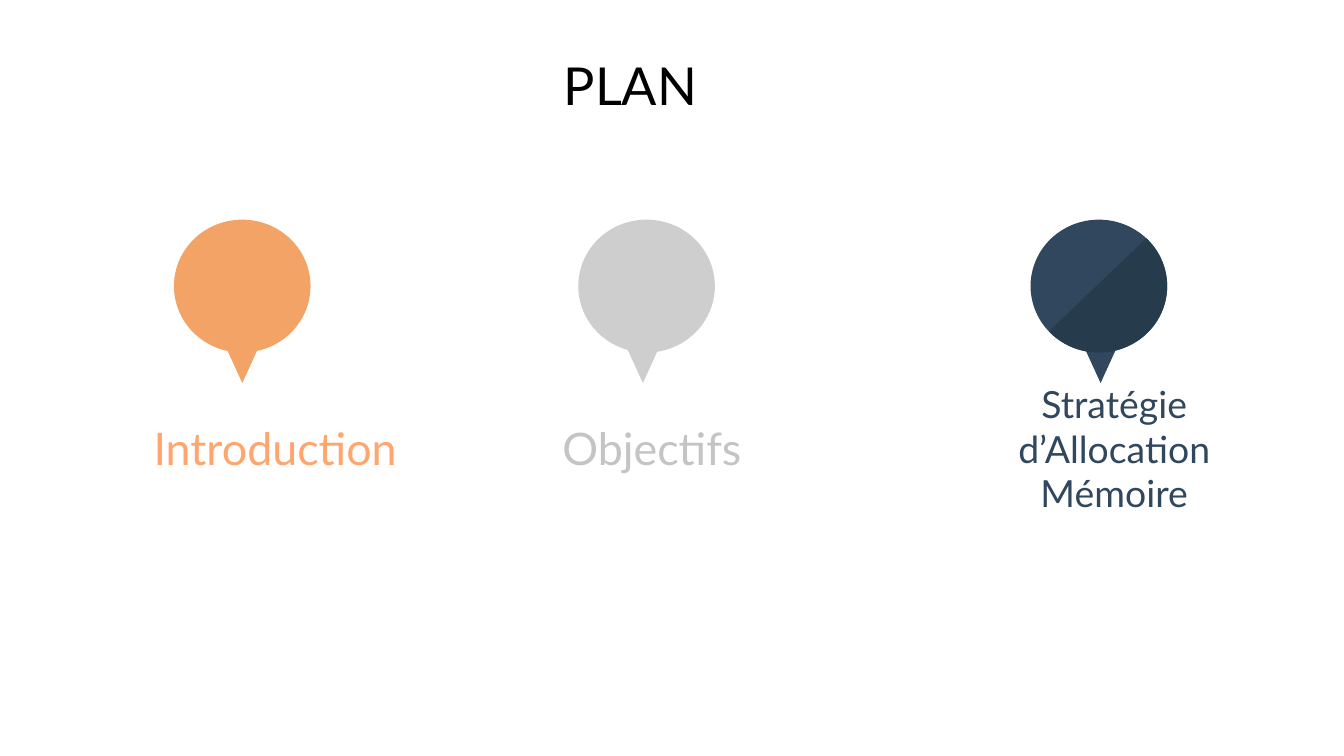
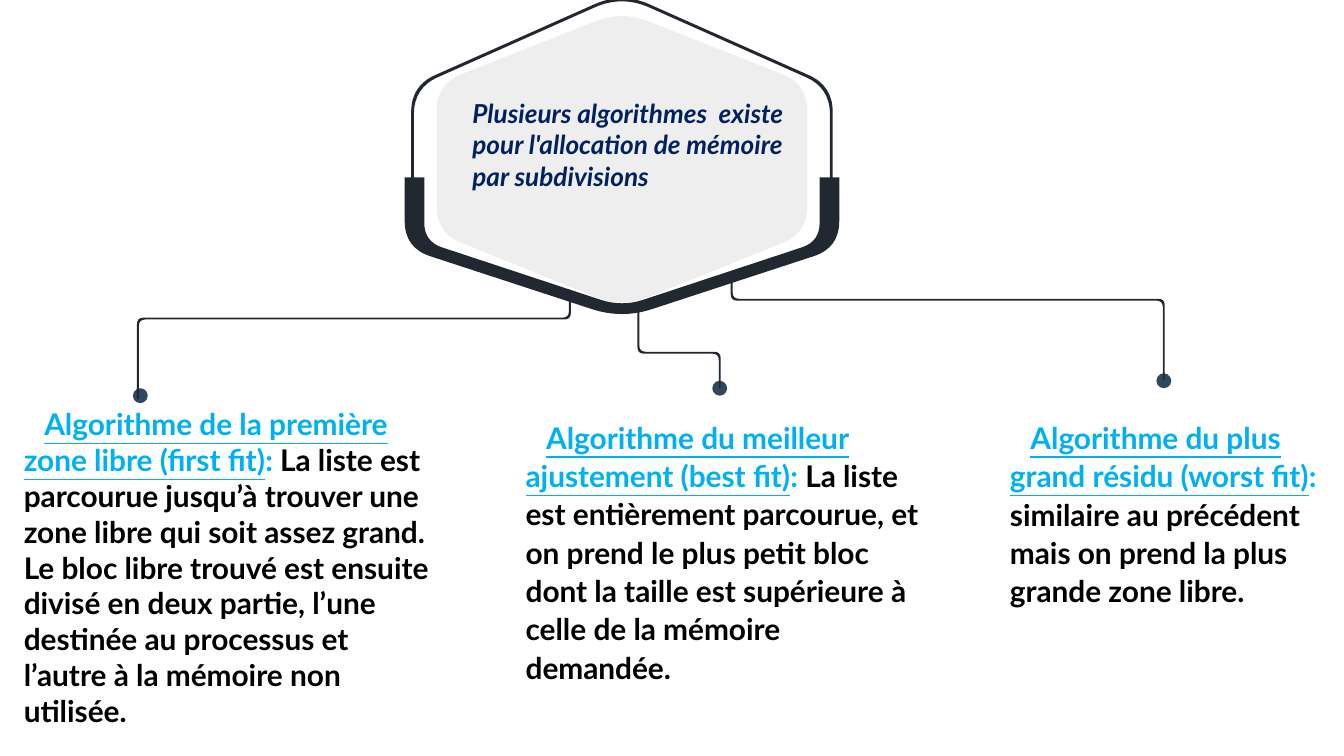
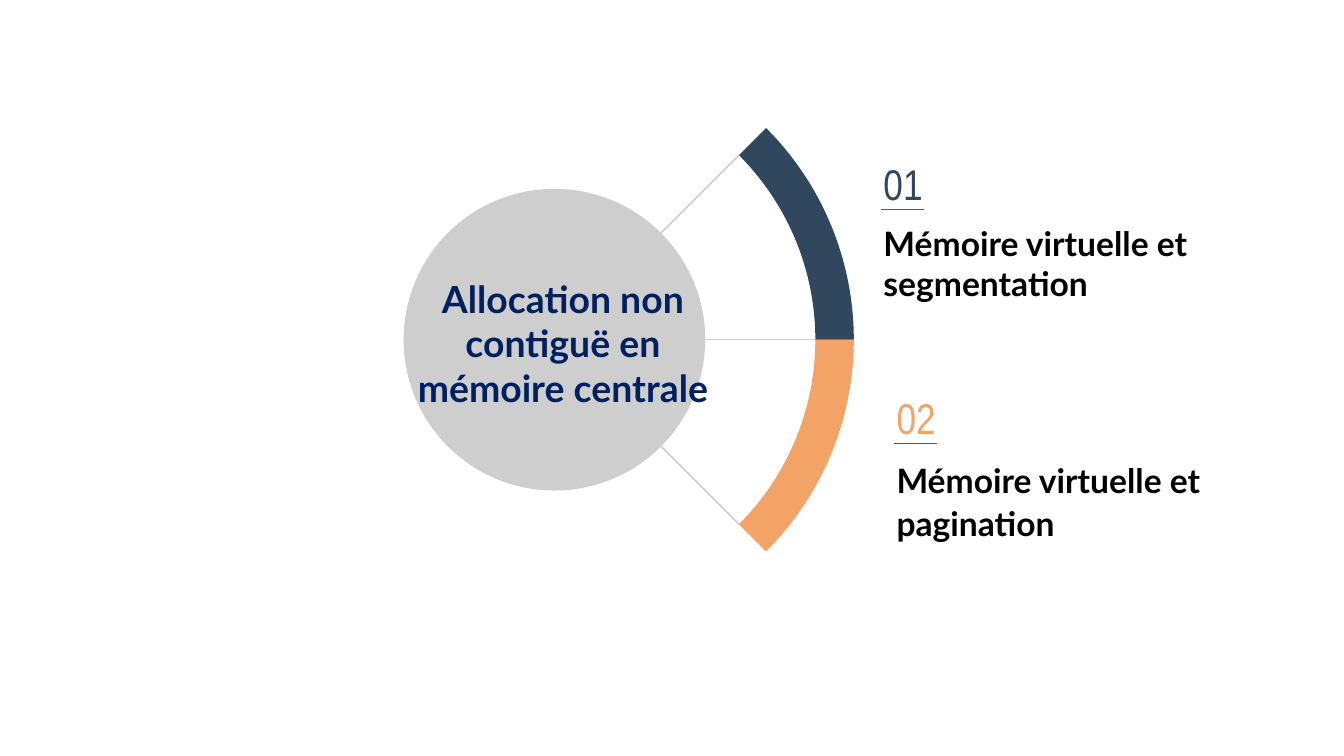
import math

from pptx import Presentation
from pptx import util as u
from pptx.dml import color
from pptx.enum import shapes, text
from pptx.oxml import ns, xmlchemy as xml

NAVY = "30475E"
DEEP_NAVY = "263C4C"
ORANGE = "F2A365"
GREY = "CECECE"
CHARCOAL = "222831"
INK = "002060"
CYAN = "00B0F0"
BLACK = "000000"

HEXAGON_AXIS = 333.2
HUB = (297, 182)


def rgb(value):
    return color.RGBColor.from_string(value)


def paint(item, fill):
    item.shadow.inherit = False
    item.fill.solid()
    item.fill.fore_color.rgb = rgb(fill)
    item.line.fill.background()


def add_preset(page, kind, left, top, width, height, fill):
    item = page.shapes.add_shape(kind, u.Pt(left), u.Pt(top), u.Pt(width), u.Pt(height))
    paint(item, fill)
    return item


def add_disc(page, centre, radius, fill):
    x, y = centre
    add_preset(page, shapes.MSO_SHAPE.OVAL, x - radius, y - radius, 2 * radius, 2 * radius, fill)


def add_outline(page, segments, fill):
    vertices = [(u.Pt(x), u.Pt(y)) for segment in segments for x, y in segment]
    builder = page.shapes.build_freeform(*vertices[0])
    builder.add_line_segments(vertices[1:], close=True)
    outline = builder.convert_to_shape()
    paint(outline, fill)
    lines = iter(list(outline._element.iter(ns.qn("a:lnTo"))))
    for segment in segments[1:]:
        steps = [next(lines) for _ in segment]
        if len(steps) == 3:
            curve = xml.OxmlElement("a:cubicBezTo")
            steps[0].addprevious(curve)
            for step in steps:
                curve.append(step[0])
                step.getparent().remove(step)


def add_line(page, start, end, colour, weight):
    x1, y1, x2, y2 = (u.Pt(value) for value in (*start, *end))
    line = page.shapes.add_connector(shapes.MSO_CONNECTOR.STRAIGHT, x1, y1, x2, y2)
    line.line.color.rgb = rgb(colour)
    line.line.width = u.Pt(weight)
    properties = line._element.spPr
    properties.append(xml.OxmlElement("a:effectLst"))


def add_text(page, content, left, top, width, height, *, size, colour=BLACK, font="Lato",
             bold=False, italic=False, align=None, anchor=text.MSO_ANCHOR.TOP, inset=7.2,
             spacing=None, after=None, indent=0):
    box = page.shapes.add_textbox(u.Pt(left), u.Pt(top), u.Pt(width), u.Pt(height))
    frame = box.text_frame
    frame.word_wrap = True
    frame.vertical_anchor = anchor
    frame.margin_left = frame.margin_right = u.Pt(7.2)
    frame.margin_top = frame.margin_bottom = u.Pt(inset)
    para = frame.paragraphs[0]
    para.alignment = align
    if spacing:
        para.line_spacing = spacing
    if after:
        para.space_after = u.Pt(after)
    if indent:
        para._p.get_or_add_pPr().set("indent", str(u.Pt(indent)))
    spans = [(content, colour, False)] if isinstance(content, str) else content
    for words, span_colour, underline in spans:
        span = para.add_run()
        span.text = words
        span.font.name = font
        span.font.size = u.Pt(size)
        span.font.bold = bold
        span.font.italic = italic
        span.font.underline = underline
        span.font.color.rgb = rgb(span_colour)


def on_ellipse(centre, radii, degrees):
    angle = math.radians(degrees)
    return (centre[0] + radii[0] * math.cos(angle), centre[1] + radii[1] * math.sin(angle))


def arc(centre, radii, first, last):
    reach = 4 / 3 * math.tan(math.radians(last - first) / 4)

    def control(degrees, amount):
        x, y = on_ellipse(centre, radii, degrees)
        angle = math.radians(degrees)
        return (x - amount * radii[0] * math.sin(angle), y + amount * radii[1] * math.cos(angle))

    return [(on_ellipse(centre, radii, first),),
            (control(first, reach), control(last, -reach), on_ellipse(centre, radii, last))]


def toward(start, end, distance):
    share = distance / math.dist(start, end)
    return tuple(a + (b - a) * share for a, b in zip(start, end))


def rounded(corners):
    segments = []
    for i, (x, y, cut) in enumerate(corners):
        corner = (x, y)
        if not cut:
            segments.append((corner,))
            continue
        before = toward(corner, corners[i - 1][:2], cut)
        after = toward(corner, corners[(i + 1) % len(corners)][:2], cut)
        segments.append((before,))
        segments.append((toward(corner, before, cut / 3), toward(corner, after, cut / 3), after))
    return segments


def mirrored(side, apex_y, apex_cut):
    other = [(2 * HEXAGON_AXIS - x, y, cut) for x, y, cut in reversed(side)]
    return side + [(HEXAGON_AXIS, apex_y, apex_cut)] + other


def add_pin(page, centre_x, tip_x, fill):
    tip = add_preset(page, shapes.MSO_SHAPE.ISOSCELES_TRIANGLE, tip_x - 10.5, 182.2, 21, 23, fill)
    tip.rotation = 180
    add_preset(page, shapes.MSO_SHAPE.OVAL, centre_x - 36.6, 117.7, 73.2, 71.2, fill)


def add_hexagon(page):
    outer = mirrored([(220.3, 96.5, 0), (220.3, 46, 14)], -4.2, 16)
    inner = mirrored([(221.8, 96.5, 0), (221.8, 47.1, 14)], -2.5, 16)
    add_outline(page, rounded(outer + inner[::-1]), CHARCOAL)
    outer = mirrored([(216.8, 95, 0), (216.8, 132.8, 14.4)], 170.9, 17)
    inner = mirrored([(227.3, 95, 0), (227.3, 129.4, 10)], 164.4, 12)
    add_outline(page, rounded(outer + inner[::-1]), CHARCOAL)
    top = mirrored([(234, 45, 14)], 5.8, 15.5)
    bottom = mirrored([(234, 124.8, 14)], 164.9, 15.5)
    add_outline(page, rounded(top + bottom[::-1]), "EEEEEE")


def add_branch(page, start, level, end):
    def edge(shift):
        bend = level - math.copysign(shift, shift * (end[0] - start[0]))
        return [(start[0] + shift, start[1], 0), (start[0] + shift, bend, 3.5),
                (end[0] + shift, bend, 3.5), (end[0] + shift, end[1], 0)]

    add_outline(page, rounded(edge(0.5) + edge(-0.5)[::-1]), CHARCOAL)


def add_algorithm(page, name, description, left, top, width, height, **style):
    spans = [(name, CYAN, True), (": ", CYAN, False), (description, BLACK, False)]
    add_text(page, spans, left, top, width, height, size=16, bold=True, inset=3.6,
             indent=11, **style)


def add_item(page, number, title, left, top, colour, **style):
    add_text(page, number, left, top, 190, 28, size=23, font="Arial Narrow", colour=colour,
             anchor=text.MSO_ANCHOR.MIDDLE)
    add_text(page, title, left, top + 28, 190, 36, size=18, bold=True, **style)
    add_line(page, (left + 5.6, top + 28), (left + 29, top + 28), "595959", 0.75)


def build_plan(page):
    centred = {"align": text.PP_ALIGN.CENTER, "anchor": text.MSO_ANCHOR.MIDDLE}
    for centre_x, tip_x, fill in ((129.8, 129.8, ORANGE), (346.4, 344.4, GREY),
                                  (588.7, 589.6, NAVY)):
        add_pin(page, centre_x, tip_x, fill)
    radii = (36.6, 35.6)
    shade = arc((588.7, 153.3), radii, -46, 45) + arc((588.7, 153.3), radii, 45, 137)[1:]
    add_outline(page, shade, DEEP_NAVY)
    add_text(page, "Introduction", 69.9, 221, 155, 38, size=24, colour="FFA66F", **centred)
    add_text(page, "Objectifs", 289.5, 221, 119.5, 38, size=24, colour="C4C4C4", **centred)
    add_text(page, "Stratégie d’Allocation Mémoire", 530.3, 212.7, 133.2, 54.7, size=20,
             colour=NAVY, **centred)
    add_text(page, "PLAN", 33.5, 26.3, 608.4, 38.2, size=28, **centred)


def build_algorithms(page):
    for start, level, end, dot in (((305.3, 157), 170.7, (73.9, 213.8), (75.2, 212)),
                                   ((342, 166), 189, (385.6, 208), (385.6, 208)),
                                   ((392, 147), 160.6, (623.5, 203.8), (623.5, 204))):
        add_disc(page, dot, 4, NAVY)
        add_branch(page, start, level, end)
    add_hexagon(page)
    add_text(page, "Plusieurs algorithmes  existe pour l'allocation de mémoire par subdivisions",
             246, 48.5, 191.5, 58.3, size=14, colour=INK, bold=True, italic=True, inset=3.6)
    add_algorithm(page, "Algorithme de la première zone libre (first fit)",
                  "La liste est parcourue jusqu’à trouver une zone libre qui soit assez grand. "
                  "Le bloc libre trouvé est ensuite divisé en deux partie, l’une destinée au "
                  "processus et l’autre à la mémoire non utilisée.", 5.7, 214, 232.6, 198.7)
    add_algorithm(page, "Algorithme du meilleur ajustement (best fit)",
                  "La liste est entièrement parcourue, et on prend le plus petit bloc dont la "
                  "taille est supérieure à celle de la mémoire demandée.",
                  274.5, 219.9, 231, 152, spacing=1.07, after=8)
    add_algorithm(page, "Algorithme du plus grand résidu (worst fit)",
                  "similaire au précédent mais on prend la plus grande zone libre.",
                  534, 219.9, 187.2, 110, spacing=1.07, after=8)


def build_virtual_memory(page):
    add_disc(page, HUB, 80.8, GREY)
    for angle in (0, -45, 45):
        add_line(page, on_ellipse(HUB, (80.8, 80.8), angle),
                 on_ellipse(HUB, (139.8, 139.8), angle), GREY, 0.81)
    for first, last, fill in ((0, 45, ORANGE), (-45, 0, NAVY)):
        band = arc(HUB, (139.8, 139.8), first, last) + arc(HUB, (160.4, 160.4), last, first)
        add_outline(page, band, fill)
    add_text(page, "Allocation non contiguë en mémoire centrale", 213.8, 101.2, 175.7, 165,
             size=20, colour=INK, bold=True, align=text.PP_ALIGN.CENTER,
             anchor=text.MSO_ANCHOR.MIDDLE)
    add_item(page, "01", "Mémoire virtuelle et segmentation", 466.2, 84.2, NAVY)
    add_item(page, "02", "Mémoire virtuelle et pagination", 473.2, 209.5, ORANGE,
             spacing=1.07, after=8)


def main():
    deck = Presentation()
    deck.slide_width = u.Pt(720)
    deck.slide_height = u.Pt(405)
    for build in (build_plan, build_algorithms, build_virtual_memory):
        build(deck.slides.add_slide(deck.slide_layouts[6]))
    deck.save("out.pptx")


if __name__ == "__main__":
    main()
